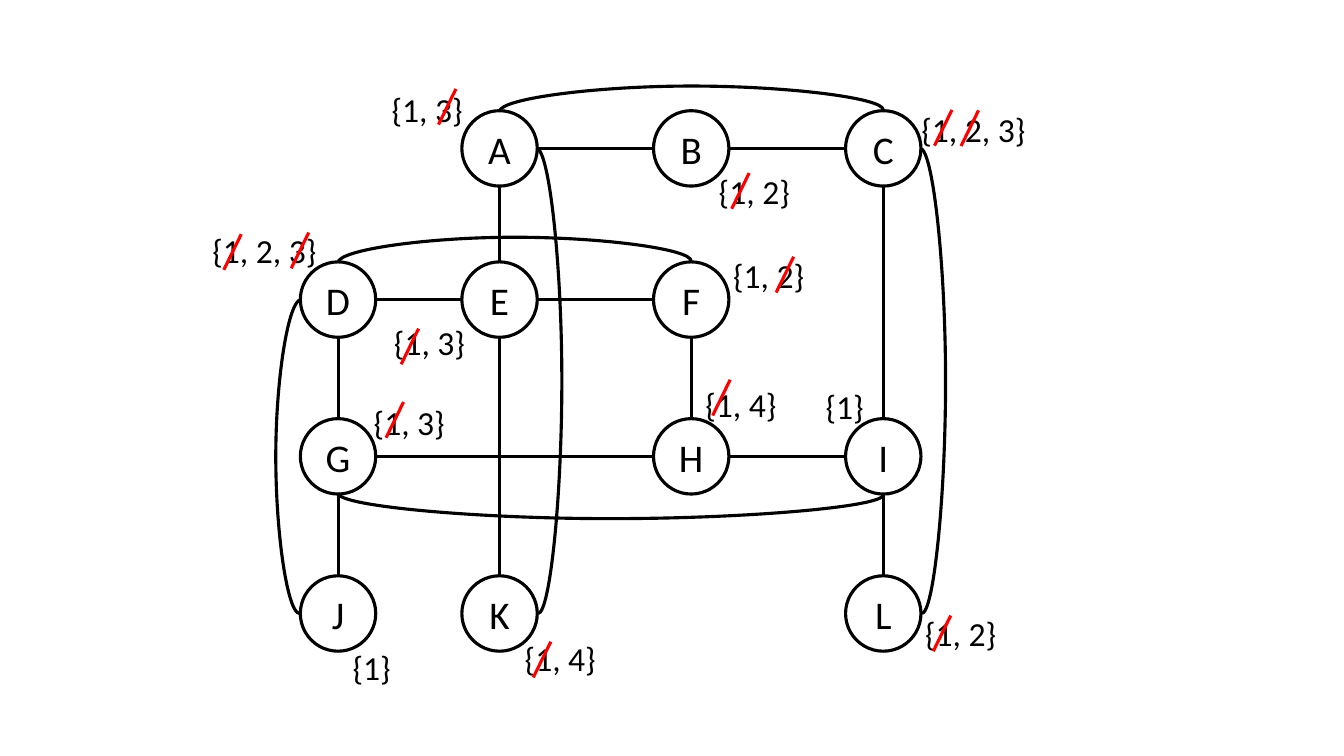
from dataclasses import dataclass
from enum import Enum
from typing import Any, NamedTuple

from lxml.etree import SubElement
from pptx import Presentation
from pptx.dml.color import RGBColor
from pptx.enum.shapes import MSO_CONNECTOR, MSO_SHAPE
from pptx.enum.text import MSO_ANCHOR, PP_ALIGN
from pptx.oxml.ns import qn
from pptx.shapes.autoshape import Shape
from pptx.shapes.connector import Connector
from pptx.slide import Slide
from pptx.text.text import TextFrame
from pptx.util import Cm, Pt

BLACK = RGBColor(0x00, 0x00, 0x00)
RED = RGBColor(0xFF, 0x00, 0x00)
COLUMNS = (8.52, 12.59, 17.42, 22.26)
ROWS = (3.74, 7.55, 11.5, 15.46)
RADIUS = 0.95
ARC_DEPTH = 0.64
ARC_FRAME = 0.04
LABEL_HEIGHT = 1.27
STRIKE_RUN, STRIKE_RISE = 0.44, 0.9
LINE_FORMAT = {"width": Pt(2.25)}
FRAME_FORMAT = {"word_wrap": True}
NODE_FRAME_FORMAT = {
    "word_wrap": True, "vertical_anchor": MSO_ANCHOR.MIDDLE,
    "margin_left": 0, "margin_right": 0, "margin_top": 0, "margin_bottom": 0,
}


class Point(NamedTuple):
    """A place on the slide in centimetres."""

    x: float
    y: float


class SideValues(NamedTuple):
    """An ellipse site, its outward direction and the turn of an arc there."""

    site: int
    dx: int
    dy: int
    rotation: int
    flip_x: bool
    flip_y: bool


class Side(Enum):
    """The sides of a node where links attach."""

    TOP = SideValues(0, 0, -1, 90, True, True)
    LEFT = SideValues(2, -1, 0, 180, False, True)
    BOTTOM = SideValues(4, 0, 1, 270, True, False)
    RIGHT = SideValues(6, 1, 0, 0, False, False)


@dataclass(frozen=True)
class Node:
    """A graph vertex with its domain label and the struck-out values."""

    name: str
    column: int
    row: int
    domain: str
    label: Point
    label_width: float
    strikes: tuple[Point, ...] = ()

    def side_point(self, side: Side) -> Point:
        """Return the point where a link meets the given side."""
        return Point(COLUMNS[self.column] + RADIUS * side.value.dx,
                     ROWS[self.row] + RADIUS * side.value.dy)


class Arc(NamedTuple):
    """A curved link between two nodes on one side."""

    ends: str
    side: Side


NODES = (
    Node("A", 1, 0, "{1, 3}", Point(9.42, 2.11), 2.69, (Point(11.05, 3.14),)),
    Node("B", 2, 0, "{1, 2}", Point(17.78, 4.17), 2.46, (Point(18.44, 5.26),)),
    Node("C", 3, 0, "{1, 2, 3}", Point(22.83, 2.62), 3.4,
         (Point(23.55, 3.67), Point(24.22, 3.68))),
    Node("D", 0, 1, "{1, 2, 3}", Point(4.9, 5.66), 3.53,
         (Point(5.64, 6.8), Point(7.34, 6.76))),
    Node("E", 1, 1, "{1, 3}", Point(9.53, 7.98), 2.59, (Point(10.11, 9.18),)),
    Node("F", 2, 1, "{1, 2}", Point(18.14, 6.3), 2.46, (Point(19.56, 7.37),)),
    Node("G", 0, 2, "{1, 3}", Point(9.02, 10.01), 2.59, (Point(9.73, 11.03),)),
    Node("H", 2, 2, "{1, 4}", Point(17.45, 9.55), 2.44, (Point(17.96, 10.47),)),
    Node("I", 3, 2, "{1}", Point(20.45, 9.6), 1.68),
    Node("J", 0, 3, "{1}", Point(8.53, 16.18), 1.68),
    Node("K", 1, 3, "{1, 4}", Point(12.8, 15.95), 2.64, (Point(13.44, 17.07),)),
    Node("L", 3, 3, "{1, 2}", Point(22.89, 15.32), 2.64, (Point(23.52, 16.41),)),
)
LINKS = ("AB", "BC", "CI", "IL", "AE", "EK", "DE", "EF", "FH", "GH", "DG", "GJ", "HI")
ARCS = (
    Arc("AC", Side.TOP), Arc("AK", Side.RIGHT), Arc("DF", Side.TOP),
    Arc("DJ", Side.LEFT), Arc("CL", Side.RIGHT), Arc("GI", Side.BOTTOM),
)


def apply_format(target: Any, values: dict[str, Any]) -> None:
    """Set every named attribute on the target."""
    for name, value in values.items():
        setattr(target, name, value)


def write_text(frame: TextFrame, text: str, size: int) -> None:
    """Write one centred black line of text."""
    para = frame.paragraphs[0]
    para.alignment = PP_ALIGN.CENTER
    span = para.add_run()
    span.text = text
    apply_format(span.font, {"name": "Calibri", "size": Pt(size)})
    span.font.color.rgb = BLACK


def draw_node(page: Slide, node: Node) -> Shape:
    """Draw the circle of a node with its letter."""
    circle = page.shapes.add_shape(
        MSO_SHAPE.OVAL, Cm(COLUMNS[node.column] - RADIUS), Cm(ROWS[node.row] - RADIUS),
        Cm(2 * RADIUS), Cm(2 * RADIUS))
    circle.shadow.inherit = False
    circle.fill.background()
    circle.line.color.rgb = BLACK
    apply_format(circle.line, LINE_FORMAT)
    apply_format(circle.text_frame, NODE_FRAME_FORMAT)
    write_text(circle.text_frame, node.name, 28)
    return circle


def draw_line(page: Slide, start: Point, end: Point, color: RGBColor,
              kind: MSO_CONNECTOR = MSO_CONNECTOR.STRAIGHT) -> Connector:
    """Draw a connector without a shadow."""
    line = page.shapes.add_connector(kind, Cm(start.x), Cm(start.y), Cm(end.x), Cm(end.y))
    line.line.color.rgb = color
    apply_format(line.line, LINE_FORMAT)
    SubElement(line.element.spPr, qn("a:effectLst"))
    return line


def attach(line: Connector, circles: tuple[Shape, Shape], sides: tuple[Side, Side]) -> None:
    """Glue both ends of a connector to sites of the circles."""
    holder = line.element.find(".//" + qn("p:cNvCxnSpPr"))
    for tag, circle, side in zip(("a:stCxn", "a:endCxn"), circles, sides):
        SubElement(holder, qn(tag), id=str(circle.shape_id), idx=str(side.value.site))


def draw_link(page: Slide, ends: str, nodes: dict[str, Node],
              circles: dict[str, Shape]) -> None:
    """Draw a straight link between facing sides of two nodes."""
    first, second = (nodes[name] for name in ends)
    vertical = first.column == second.column
    sides = (Side.BOTTOM, Side.TOP) if vertical else (Side.RIGHT, Side.LEFT)
    line = draw_line(page, first.side_point(sides[0]), second.side_point(sides[1]), BLACK)
    attach(line, (circles[ends[0]], circles[ends[1]]), sides)


def draw_arc(page: Slide, arc: Arc, nodes: dict[str, Node],
             circles: dict[str, Shape]) -> None:
    """Draw a curved link that bulges outward from one side."""
    start, end = (nodes[name].side_point(arc.side) for name in arc.ends)
    middle = Point((start.x + end.x) / 2, (start.y + end.y) / 2)
    turn = arc.side.value
    half_width = ARC_FRAME / 2 * (-1 if turn.flip_x else 1)
    half_height = max(end.x - start.x, end.y - start.y) / 2 * (-1 if turn.flip_y else 1)
    line = draw_line(page, Point(middle.x - half_width, middle.y - half_height),
                     Point(middle.x + half_width, middle.y + half_height),
                     BLACK, MSO_CONNECTOR.CURVE)
    line.rotation = turn.rotation
    guides = line.element.find(".//" + qn("a:avLst"))
    bulge = round(ARC_DEPTH / ARC_FRAME * 100000)
    SubElement(guides, qn("a:gd"), name="adj1", fmla=f"val {bulge}")
    attach(line, (circles[arc.ends[0]], circles[arc.ends[1]]), (arc.side, arc.side))


def draw_domain(page: Slide, node: Node) -> None:
    """Draw the domain label of a node and strike out removed values."""
    box = page.shapes.add_textbox(Cm(node.label.x), Cm(node.label.y),
                                  Cm(node.label_width), Cm(LABEL_HEIGHT))
    apply_format(box.text_frame, FRAME_FORMAT)
    write_text(box.text_frame, node.domain, 24)
    for strike in node.strikes:
        draw_line(page, strike, Point(strike.x + STRIKE_RUN, strike.y - STRIKE_RISE), RED)


deck = Presentation()
apply_format(deck, {"slide_width": Cm(33.87), "slide_height": Cm(19.05)})
page = deck.slides.add_slide(deck.slide_layouts[6])
nodes = {node.name: node for node in NODES}
circles = {node.name: draw_node(page, node) for node in NODES}
for ends in LINKS:
    draw_link(page, ends, nodes, circles)
for arc in ARCS:
    draw_arc(page, arc, nodes, circles)
for node in NODES:
    draw_domain(page, node)
deck.save("out.pptx")
